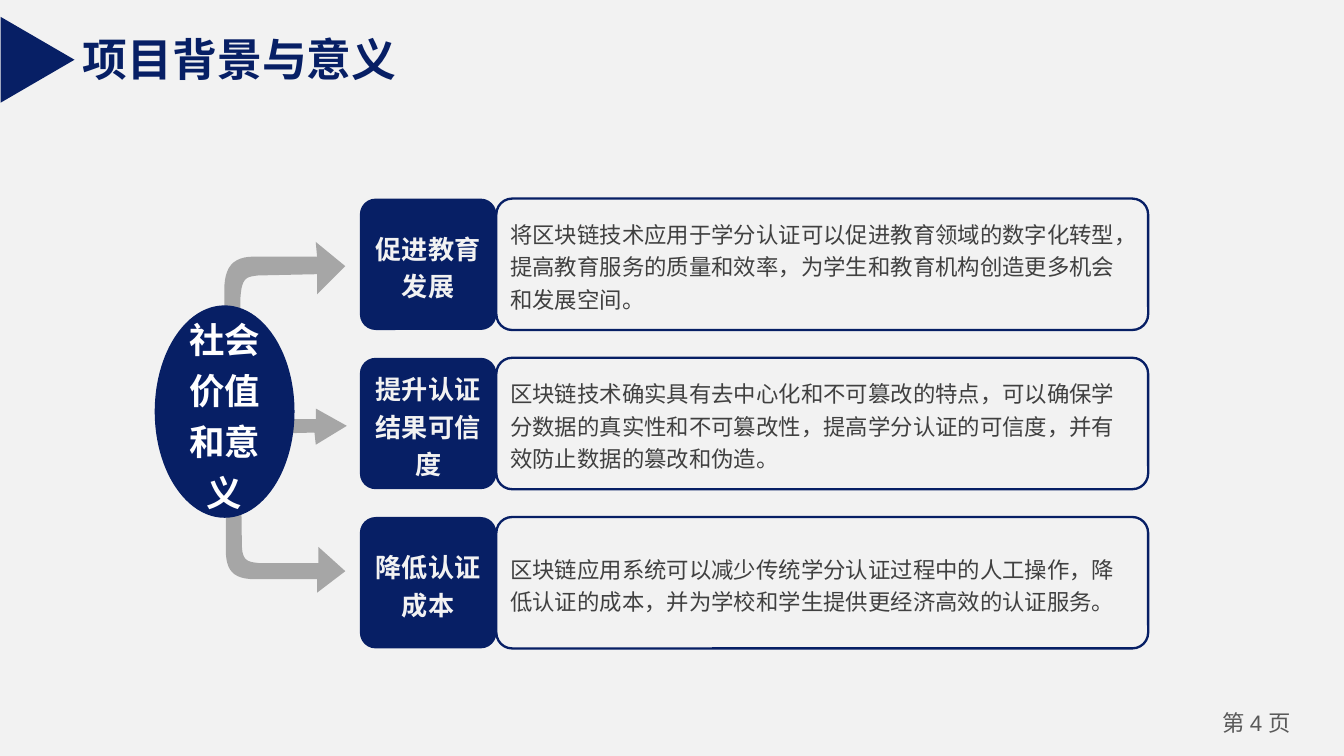
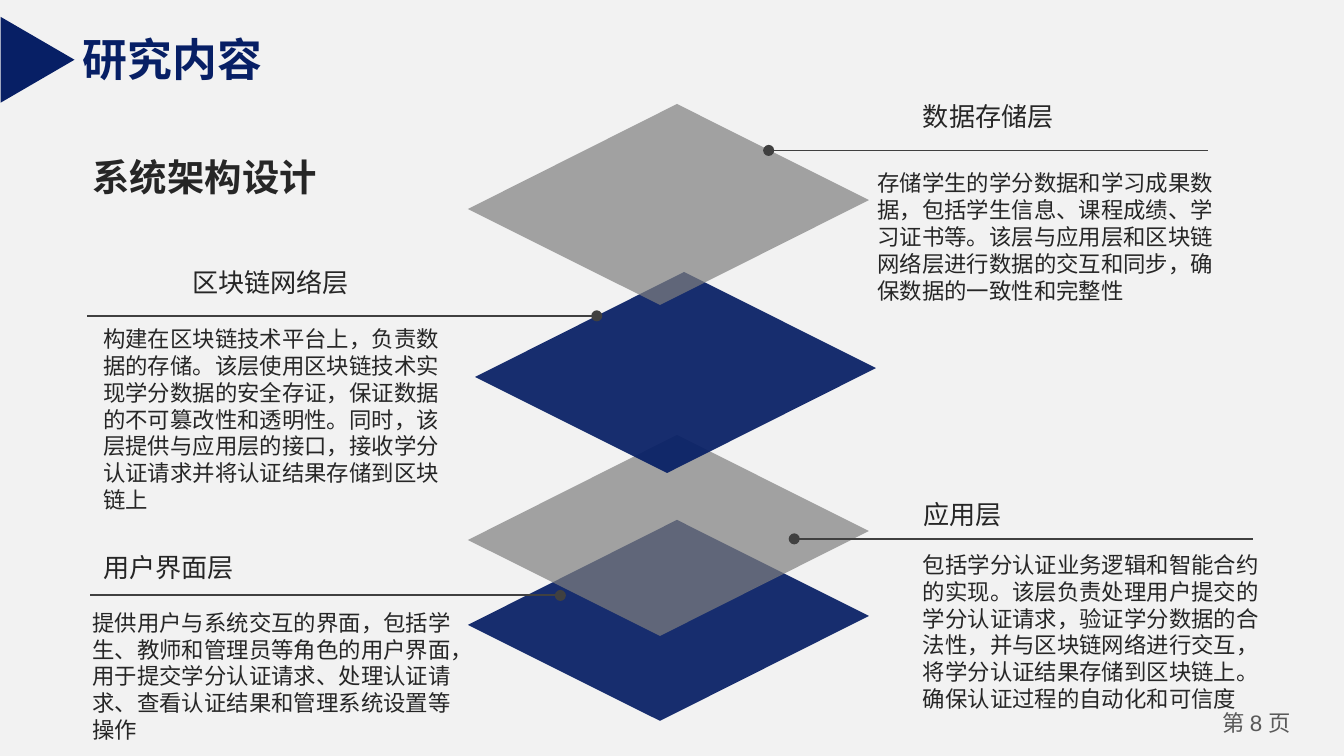
import pptx
import pptx.dml.color
import pptx.enum.shapes
import pptx.enum.text
import pptx.oxml
import pptx.oxml.ns
import pptx.util

Pt = pptx.util.Pt
SHAPE = pptx.enum.shapes.MSO_SHAPE
ALIGN = pptx.enum.text.PP_ALIGN
ANCHOR = pptx.enum.text.MSO_ANCHOR
FIT = pptx.enum.text.MSO_AUTO_SIZE
qn = pptx.oxml.ns.qn

HEX = {
    "navy": "071F65", "back": "F2F2F2", "white": "FFFFFF", "arrow": "A6A6A6",
    "gray": "7F7F7F", "line": "404040", "body": "404040", "ink": "262626",
    "foot": "595959",
}
CJK, LATIN = "Noto Sans CJK SC", "Arial"

# Card rows: top of the first, distance between rows
ROW_TOP, ROW_STEP, ROW_H = 106.4, 85.3, 70.4
CARDS = [
    ("促进教育发展",
     "将区块链技术应用于学分认证可以促进教育领域的数字化转型，提高教育服务的质量和效率，"
     "为学生和教育机构创造更多机会和发展空间。"),
    ("提升认证结果可信度",
     "区块链技术确实具有去中心化和不可篡改的特点，可以确保学分数据的真实性和不可篡改性，"
     "提高学分认证的可信度，并有效防止数据的篡改和伪造。"),
    ("降低认证成本",
     "区块链应用系统可以减少传统学分认证过程中的人工操作，降低认证的成本，"
     "并为学校和学生提供更经济高效的认证服务。"),
]

# Outlines: a pair is a corner, six numbers are a Bezier curve
ARROWS = [
    [(128.9, 238.3), (129.6, 291.6), (129.6, 301, 133.2, 301, 139, 301.7),
     (170.6, 301.7), (170.6, 293), (185, 306), (169.9, 317.5), (169.9, 310.3),
     (136.8, 310.3), (124.6, 310.3, 121, 305.3, 121, 294.5), (121, 236.9),
     (121.7, 227.5, 126.7, 228.2, 128.9, 238.3)],
    [(108.7, 233.3), (168.5, 231.8), (169.2, 238.3), (185.8, 228.2),
     (169.2, 218.9), (169.2, 224.6), (108.7, 224.6)],
    [(128.2, 221), (128.9, 159.1), (129.6, 148.3, 132.5, 148.3, 138.2, 147.6),
     (169.9, 146.9), (169.9, 157.7), (185, 142.6), (169.2, 129.6),
     (169.9, 137.5), (136.1, 137.5), (124.6, 137.5, 120.2, 143.3, 120.2, 155.5),
     (120.2, 222.5), (121.7, 233.3, 126.7, 232.6, 128.2, 221)],
]

# Left corner, colour, opacity, from the lowest layer up
LAYERS = [
    (250.7, 334.8, "navy", 93), (250.7, 289.3, "gray", 70),
    (254.5, 202, "navy", 93), (250.7, 112, "gray", 70),
]
DIAMOND = [(0, 0), (112, -56.3), (214.8, -4.8), (102.9, 51.4)]

# Name and its box, text and its box, line as (dot x, end x, y)
NOTES = [
    ("数据存储层", (487.4, 50.4, 146.2, 23.8),
     "存储学生的学分数据和学习成果数据，包括学生信息、课程成绩、学习证书等。"
     "该层与应用层和区块链网络层进行数据的交互和同步，确保数据的一致性和完整性",
     (463, 87.1, 196.6, 79.9), (411.8, 647.3, 80.6)),
    ("应用层", (487.4, 263.5, 135.4, 23.8),
     "包括学分认证业务逻辑和智能合约的实现。该层负责处理用户提交的学分认证请求，"
     "验证学分数据的合法性，并与区块链网络进行交互，将学分认证结果存储到区块链上。"
     "确保认证过程的自动化和可信度",
     (487.4, 291.6, 196.6, 94.3), (425.5, 671, 288.7)),
    ("区块链网络层", (95.8, 139, 120.2, 23.8),
     "构建在区块链技术平台上，负责数据的存储。该层使用区块链技术实现学分数据的安全存证，"
     "保证数据的不可篡改性和透明性。同时，该层提供与应用层的接口，"
     "接收学分认证请求并将认证结果存储到区块链上",
     (48.2, 170.6, 195.1, 108.7), (319.7, 46.8, 169.2)),
    ("用户界面层", (48.2, 291.6, 132.5, 23.8),
     "提供用户与系统交互的界面，包括学生、教师和管理员等角色的用户界面，"
     "用于提交学分认证请求、处理认证请求、查看认证结果和管理系统设置等操作",
     (42.5, 322.6, 206.6, 79.9), (300.2, 48.2, 319)),
]


def rgb(name):
    return pptx.dml.color.RGBColor.from_string(HEX[name])


def add_run(para, text, size, color, bold=False, face=CJK):
    run = para.add_run()
    run.text = text
    font = run.font
    font.size, font.bold, font.name = Pt(size), bold, face
    font.color.rgb = rgb(color)
    east = pptx.oxml.parse_xml(
        f'<a:ea {pptx.oxml.ns.nsdecls("a")} typeface="{CJK}"/>')
    font._element.find(qn("a:latin")).addnext(east)


def set_frame(frame, side, edge, wrap=True):
    frame.margin_left = frame.margin_right = Pt(side)
    frame.margin_top = frame.margin_bottom = Pt(edge)
    frame.word_wrap = wrap


def add_text(slide, box, text, size, color="ink", bold=False, wrap=True):
    frame = slide.shapes.add_textbox(*map(Pt, box)).text_frame
    set_frame(frame, 7.2, 3.6, wrap)
    frame.auto_size = FIT.SHAPE_TO_FIT_TEXT
    add_run(frame.paragraphs[0], text, size, color, bold)


def paint(shape, fill=None, line=None, alpha=100):
    shape.shadow.inherit = False
    if fill:
        shape.fill.solid()
        shape.fill.fore_color.rgb = rgb(fill)
        if alpha < 100:
            tag = shape.fill._xPr.find(qn("a:solidFill"))[0]
            tag.append(pptx.oxml.parse_xml(
                f'<a:alpha {pptx.oxml.ns.nsdecls("a")} val="{alpha * 1000}"/>'))
    else:
        shape.fill.background()
    if line:
        shape.line.color.rgb = rgb(line)
        shape.line.width = Pt(1.25)
    else:
        shape.line.fill.background()


def add_block(slide, kind, box, text, size, color, fill=None, line=None,
              bold=True, align=ALIGN.CENTER):
    """Add a preset shape with text set in its middle."""
    shape = slide.shapes.add_shape(kind, *map(Pt, box))
    if kind == SHAPE.ROUNDED_RECTANGLE:
        shape.adjustments[0] = 0.12
    paint(shape, fill, line)
    frame = shape.text_frame
    set_frame(frame, 5, 2.5)
    frame.vertical_anchor = ANCHOR.MIDDLE
    para = frame.paragraphs[0]
    para.alignment, para.line_spacing = align, 1.2
    add_run(para, text, size, color, bold)


def trace(path, steps=12):
    """Turn corners and Bezier curves into a list of points."""
    dots = []
    for part in path:
        if len(part) == 2:
            dots.append(part)
            continue
        ctrl = [dots[-1], part[:2], part[2:4], part[4:]]
        for step in range(1, steps + 1):
            t = step / steps
            mix = ((1 - t) ** 3, 3 * t * (1 - t) ** 2, 3 * t * t * (1 - t), t ** 3)
            dots.append(tuple(sum(m * c[axis] for m, c in zip(mix, ctrl))
                              for axis in (0, 1)))
    return dots


def add_free(slide, path, fill, alpha=100):
    dots = [(Pt(x), Pt(y)) for x, y in trace(path)]
    pen = slide.shapes.build_freeform(*dots[0])
    pen.add_line_segments(dots[1:], close=True)
    paint(pen.convert_to_shape(), fill, alpha=alpha)


def add_lead(slide, start, end, y):
    """Draw a level line with a dot at its start."""
    line = slide.shapes.add_connector(
        pptx.enum.shapes.MSO_CONNECTOR.STRAIGHT, Pt(start), Pt(y), Pt(end), Pt(y))
    line.line.color.rgb = rgb("line")
    line.line.width = Pt(1)
    names = pptx.oxml.ns.nsdecls("a")
    line.line._ln.append(pptx.oxml.parse_xml(f'<a:headEnd {names} type="oval"/>'))
    line._element.spPr.append(pptx.oxml.parse_xml(f"<a:effectLst {names}/>"))


def add_page(deck, title, width, number):
    slide = deck.slides.add_slide(deck.slide_layouts[6])
    slide.background.fill.solid()
    slide.background.fill.fore_color.rgb = rgb("back")
    foot = slide.shapes.add_textbox(Pt(640.8), Pt(377.3), Pt(64.8), Pt(21.6))
    set_frame(foot.text_frame, 5, 2.9)
    para = foot.text_frame.paragraphs[0]
    para.alignment = ALIGN.CENTER
    for text, face in (("第 ", CJK), (f"{number} ", LATIN), ("页", CJK)):
        add_run(para, text, 12, "foot", face=face)
    add_text(slide, (37.4, 13.7, width, 36), title, 24, "navy", True, wrap=False)
    mark = slide.shapes.add_shape(
        SHAPE.ISOSCELES_TRIANGLE, Pt(-2.9), Pt(12.2), Pt(46), Pt(39.6))
    mark.rotation = 90
    paint(mark, "navy")
    return slide


def add_value(deck):
    slide = add_page(deck, "项目背景与意义", 182.2, 4)
    for path in ARROWS:
        add_free(slide, path, "arrow")
    for row, (name, text) in enumerate(CARDS):
        top = ROW_TOP + row * ROW_STEP
        add_block(slide, SHAPE.ROUNDED_RECTANGLE, (265.9, top, 349.2, ROW_H),
                  text, 12, "body", line="navy", bold=False, align=ALIGN.LEFT)
        add_block(slide, SHAPE.ROUNDED_RECTANGLE, (192.8, top, 73.2, ROW_H),
                  name, 14, "back", fill="navy")
    add_block(slide, SHAPE.OVAL, (82.9, 163.6, 74.9, 113.8),
              "社会价值和意义", 19, "white", fill="navy")


def add_design(deck):
    slide = add_page(deck, "研究内容", 110.2, 8)
    for left, mid, fill, alpha in LAYERS:
        add_free(slide, [(left + x, mid + y) for x, y in DIAMOND], fill, alpha)
    for name, head, text, body, lead in NOTES:
        add_lead(slide, *lead)
        add_text(slide, body, text, 12)
        add_text(slide, head, name, 14)
    add_text(slide, (42.5, 79.2, 134.6, 31), "系统架构设计", 20, bold=True, wrap=False)


def main():
    deck = pptx.Presentation()
    deck.slide_width, deck.slide_height = Pt(720), Pt(405)
    add_value(deck)
    add_design(deck)
    deck.save("out.pptx")


if __name__ == "__main__":
    main()
